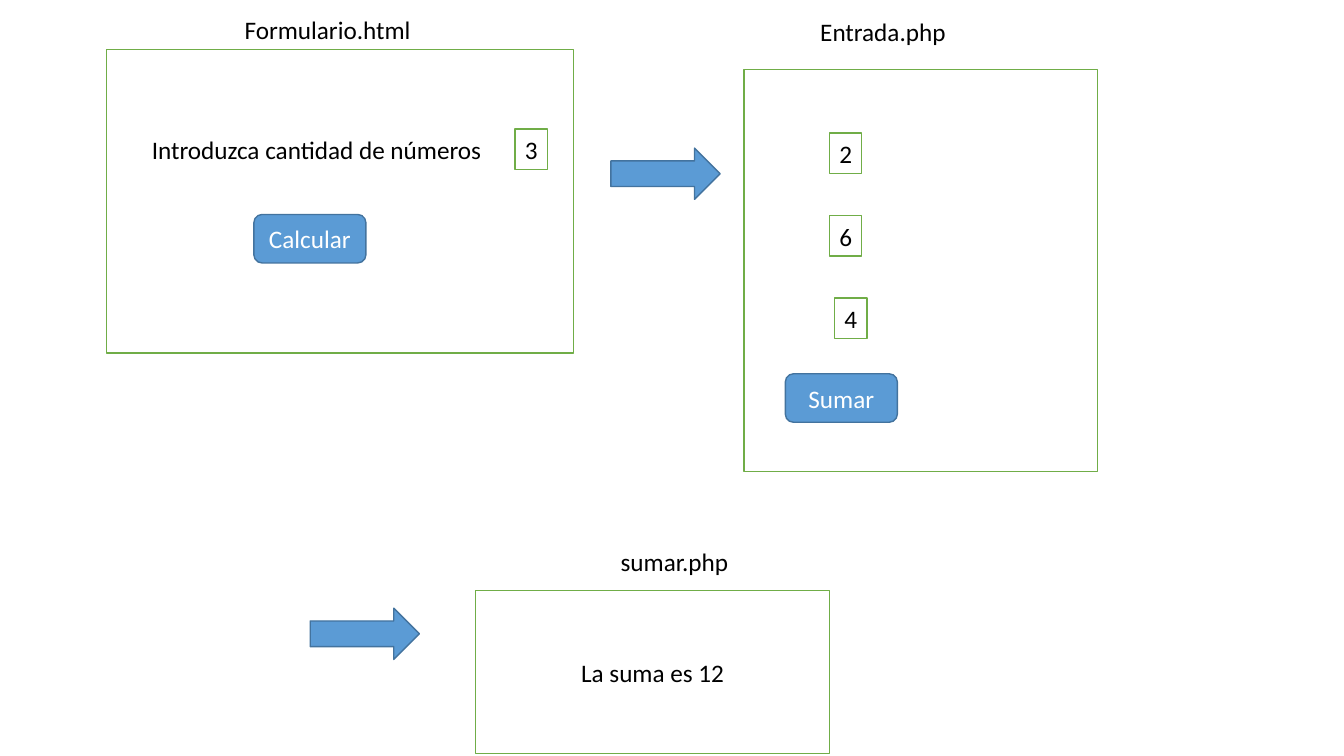
"""Build the slide that follows a sum through three web pages."""
from dataclasses import dataclass

from pptx import Presentation
from pptx.dml.color import RGBColor
from pptx.enum.shapes import MSO_SHAPE
from pptx.enum.text import MSO_ANCHOR, PP_ALIGN
from pptx.shapes.autoshape import Shape
from pptx.slide import Slide
from pptx.text.text import TextFrame
from pptx.util import Pt


@dataclass(frozen=True)
class Theme:
    font: str = "Calibri"
    text_size: float = 18
    line_width: float = 1
    black: RGBColor = RGBColor(0x00, 0x00, 0x00)
    white: RGBColor = RGBColor(0xFF, 0xFF, 0xFF)
    green: RGBColor = RGBColor(0x70, 0xAD, 0x47)
    blue: RGBColor = RGBColor(0x5B, 0x9B, 0xD5)
    dark_blue: RGBColor = RGBColor(0x43, 0x73, 0x9E)


THEME = Theme()


@dataclass(frozen=True)
class Style:
    shape: MSO_SHAPE
    fill: RGBColor
    line: RGBColor
    text: RGBColor


FRAME = Style(MSO_SHAPE.RECTANGLE, THEME.white, THEME.green, THEME.black)
BUTTON = Style(MSO_SHAPE.ROUNDED_RECTANGLE, THEME.blue, THEME.dark_blue, THEME.white)
ARROW = Style(MSO_SHAPE.RIGHT_ARROW, THEME.blue, THEME.dark_blue, THEME.white)


@dataclass(frozen=True)
class Item:
    style: Style
    left: float
    top: float
    width: float
    height: float
    text: str = ""


@dataclass(frozen=True)
class Label:
    text: str
    left: float
    top: float
    width: float


def number_box(left: float, top: float, text: str) -> Item:
    """Describe a small field that holds one number."""
    return Item(FRAME, left, top, 23, 29, text)


def button(left: float, top: float, text: str) -> Item:
    """Describe a form button."""
    return Item(BUTTON, left, top, 80, 34.6, text)


def arrow(left: float, top: float) -> Item:
    """Describe an arrow from one page to the next."""
    return Item(ARROW, left, top, 78, 36.6)


NUMBERS_TOP, NUMBERS_STEP = 95, 59
ENTERED_NUMBERS = [(592.6, "2"), (592.6, "6"), (596.2, "4")]

ITEMS = [
    Item(FRAME, 76.2, 35.2, 333.6, 217),
    number_box(368, 92, "3"),
    button(181.4, 153.2, "Calcular"),
    arrow(436.4, 105.8),
    Item(FRAME, 531.4, 49.8, 252.8, 287),
    *(number_box(left, NUMBERS_TOP + row * NUMBERS_STEP, text)
      for row, (left, text) in enumerate(ENTERED_NUMBERS)),
    button(561, 267, "Sumar"),
    arrow(221.6, 434.4),
    Item(FRAME, 339.8, 421.8, 252.8, 116.6, "La suma es 12"),
]

LABELS = [
    Label("Introduzca cantidad de números", 101.4, 92.4, 252.8),
    Label("Formulario.html", 167.6, 6.6, 134.6),
    Label("Entrada.php", 578.8, 8, 105),
    Label("sumar.php", 436.2, 386.8, 92.2),
]


def write_text(frame: TextFrame, text: str, color: RGBColor, align: PP_ALIGN) -> None:
    """Write one paragraph in the theme font."""
    para = frame.paragraphs[0]
    para.text = text
    para.alignment = align
    para.font.name = THEME.font
    para.font.size = Pt(THEME.text_size)
    para.font.color.rgb = color


def draw_item(slide: Slide, item: Item) -> Shape:
    """Draw a frame, button or arrow with its text."""
    style = item.style
    shape = slide.shapes.add_shape(
        style.shape, Pt(item.left), Pt(item.top), Pt(item.width), Pt(item.height))
    shape.shadow.inherit = False
    shape.fill.solid()
    shape.fill.fore_color.rgb = style.fill
    shape.line.color.rgb = style.line
    shape.line.width = Pt(THEME.line_width)
    if item.text:
        frame = shape.text_frame
        frame.margin_left = frame.margin_right = Pt(0)
        frame.vertical_anchor = MSO_ANCHOR.MIDDLE
        write_text(frame, item.text, style.text, PP_ALIGN.CENTER)
    return shape


def draw_label(slide: Slide, label: Label) -> Shape:
    """Draw a line of plain text."""
    box = slide.shapes.add_textbox(
        Pt(label.left), Pt(label.top), Pt(label.width), Pt(29))
    box.text_frame.word_wrap = False
    write_text(box.text_frame, label.text, THEME.black, PP_ALIGN.LEFT)
    return box


def build() -> None:
    """Build and save the deck."""
    deck = Presentation()
    deck.slide_width, deck.slide_height = Pt(960), Pt(540)
    slide = deck.slides.add_slide(deck.slide_layouts.get_by_name("Blank"))
    for item in ITEMS:
        draw_item(slide, item)
    for label in LABELS:
        draw_label(slide, label)
    deck.save("out.pptx")


build()
